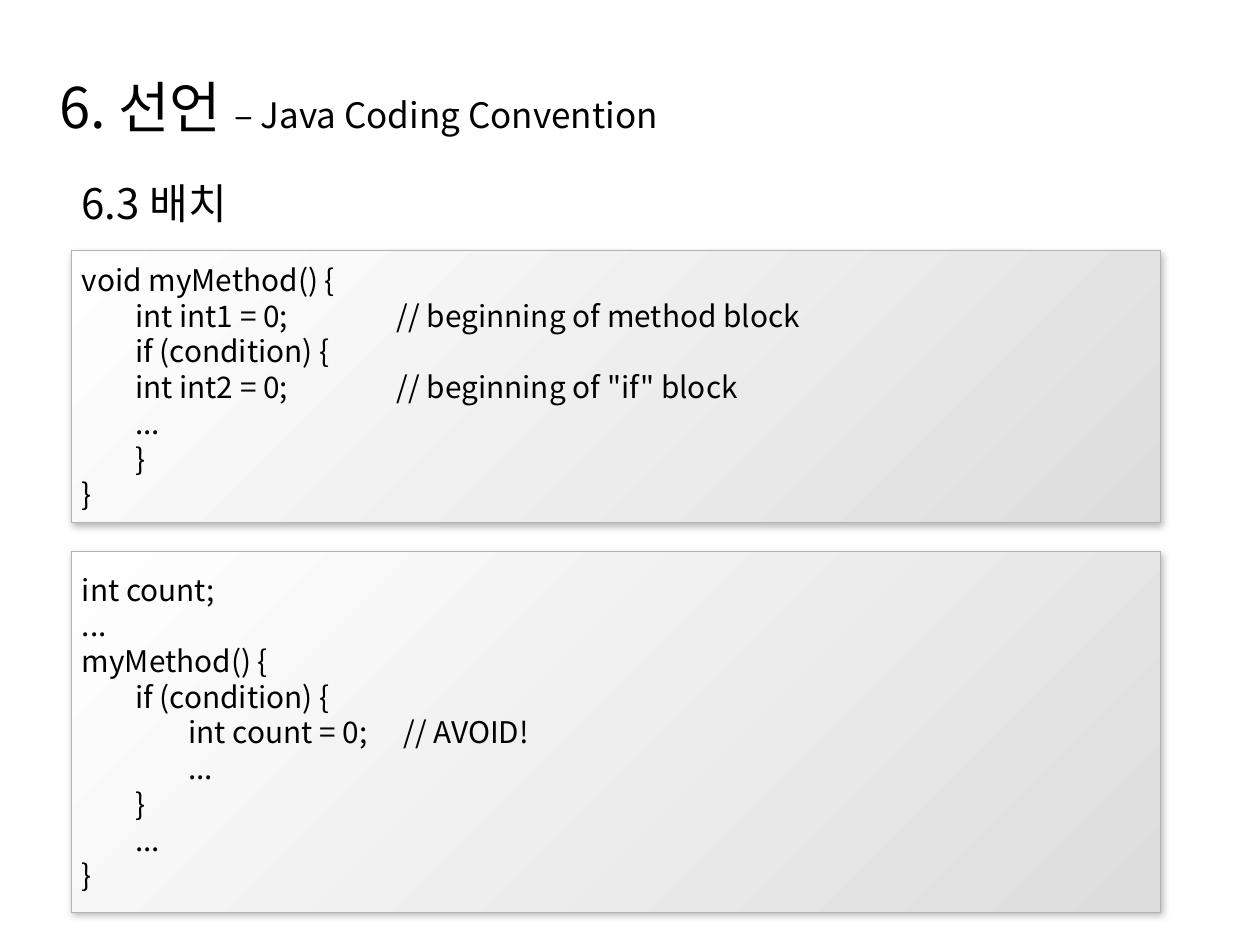
from lxml import etree
from pptx import Presentation
from pptx.dml.color import RGBColor
from pptx.enum.shapes import MSO_SHAPE
from pptx.enum.text import MSO_ANCHOR, PP_ALIGN
from pptx.oxml.ns import qn
from pptx.util import Inches, Pt

PANEL_SHAPE = MSO_SHAPE.ROUNDED_RECTANGLE
MIDDLE = MSO_ANCHOR.MIDDLE
TOP = MSO_ANCHOR.TOP
LEFT = PP_ALIGN.LEFT

BLACK = RGBColor(0x00, 0x00, 0x00)
WHITE = RGBColor(0xFF, 0xFF, 0xFF)
PANEL_GRAY = RGBColor(0xDD, 0xDD, 0xDD)
BORDER_GRAY = RGBColor(0xB2, 0xB2, 0xB2)

PLACEMENT_CODE = """void myMethod() {
        int int1 = 0;\t\t// beginning of method block
        if (condition) {
        int int2 = 0;\t\t// beginning of "if" block
        ...
        }
}"""

AVOID_CODE = """int count;
...
myMethod() {
        if (condition) {
                int count = 0;\t // AVOID!
                ...
        }
        ...
}"""


class CodeSlide:
    font_name = "Noto Sans CJK KR"
    code_size = 17
    panel_left = 0.57
    panel_width = 8.64
    panel_inset = 0.08

    def __init__(self, presentation):
        self.slide = presentation.slides.add_slide(presentation.slide_layouts[6])

    def format_run(self, run, size):
        run.font.name = self.font_name
        run.font.size = Pt(size)
        run.font.color.rgb = BLACK
        latin = run.font._element.find(qn("a:latin"))
        east_asian = etree.Element(qn("a:ea"), typeface=self.font_name)
        latin.addnext(east_asian)

    def set_insets(self, text_frame, horizontal, vertical):
        text_frame.margin_left = text_frame.margin_right = Inches(horizontal)
        text_frame.margin_top = text_frame.margin_bottom = Inches(vertical)

    def add_heading(self, left, top, width, height, parts, inset, anchor):
        shape = self.slide.shapes.add_textbox(
            Inches(left), Inches(top), Inches(width), Inches(height))
        text_frame = shape.text_frame
        text_frame.word_wrap = True
        text_frame.vertical_anchor = anchor
        self.set_insets(text_frame, inset, 0.05)
        for text, size in parts:
            run = text_frame.paragraphs[0].add_run()
            run.text = text
            self.format_run(run, size)

    def add_shadow(self, shape):
        shape.shadow.inherit = False
        effects = shape._element.spPr.find(qn("a:effectLst"))
        shadow = etree.SubElement(
            effects, qn("a:outerShdw"), blurRad=str(Pt(4)), dist=str(Pt(2)),
            dir=str(67 * 60000), rotWithShape="0")
        color = etree.SubElement(shadow, qn("a:srgbClr"), val=str(BLACK))
        etree.SubElement(color, qn("a:alpha"), val="28000")

    def add_code_panel(self, top, height, code):
        shape = self.slide.shapes.add_shape(
            PANEL_SHAPE, Inches(self.panel_left), Inches(top),
            Inches(self.panel_width), Inches(height))
        shape.adjustments[0] = 0
        shape.fill.gradient()
        shape.fill.gradient_angle = 315
        for stop, color in zip(shape.fill.gradient_stops, (WHITE, PANEL_GRAY)):
            stop.color.rgb = color
        shape.line.color.rgb = BORDER_GRAY
        shape.line.width = Pt(0.5)
        self.add_shadow(shape)
        text_frame = shape.text_frame
        text_frame.word_wrap = False
        text_frame.vertical_anchor = MIDDLE
        self.set_insets(text_frame, self.panel_inset, self.panel_inset)
        text_frame.text = code
        for paragraph in text_frame.paragraphs:
            paragraph.alignment = LEFT
            for run in paragraph.runs:
                self.format_run(run, self.code_size)


def main():
    presentation = Presentation()
    presentation.slide_width = Inches(10)
    presentation.slide_height = Inches(7.5)
    page = CodeSlide(presentation)
    title_parts = [("6. 선언 ", 32), ("– Java Coding Convention", 20)]
    page.add_heading(0.47, 0.51, 7.73, 0.66, title_parts, 0, MIDDLE)
    page.add_heading(0.55, 1.36, 6.02, 0.5, [("6.3 배치", 24)], 0.1, TOP)
    page.add_code_panel(1.99, 2.16, PLACEMENT_CODE)
    page.add_code_panel(4.38, 2.86, AVOID_CODE)
    presentation.save("out.pptx")


if __name__ == "__main__":
    main()
